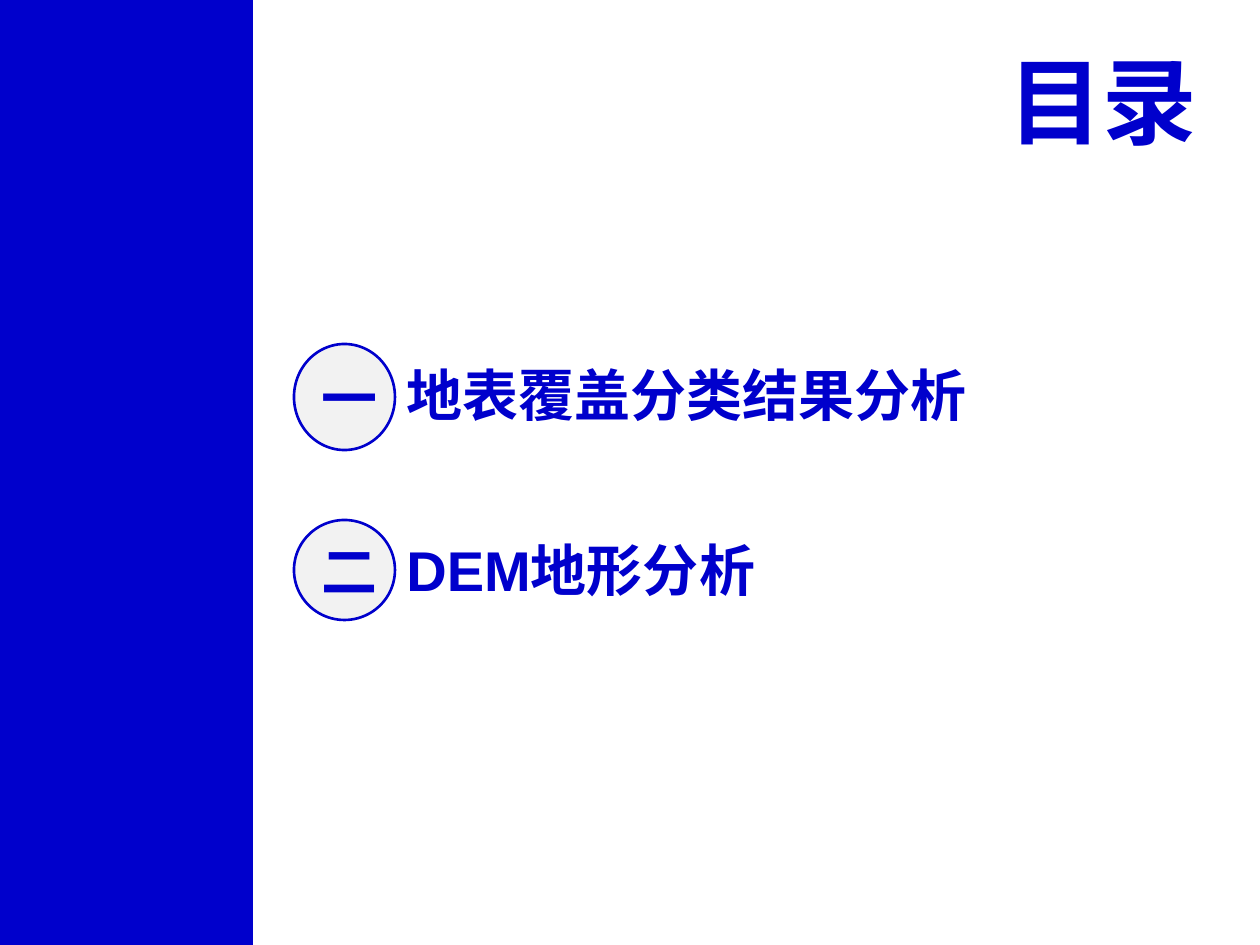
from dataclasses import dataclass

import lxml.etree
import pptx
import pptx.util
from pptx.dml.color import RGBColor
from pptx.enum.shapes import MSO_SHAPE
from pptx.enum.text import MSO_ANCHOR, MSO_AUTO_SIZE, PP_ALIGN
from pptx.oxml.ns import qn

PX = 914400 / 126  # EMU in one px
BLUE = RGBColor(0x00, 0x00, 0xCC)
GREY = RGBColor(0xF2, 0xF2, 0xF2)
LATIN = "Arial"
CJK = "Noto Sans CJK SC"


@dataclass
class Box:
    left: int
    top: int
    width: int
    height: int

    def emu(self) -> list[int]:
        return [round(v * PX) for v in (self.left, self.top, self.width, self.height)]


@dataclass
class Entry:
    number: str
    text: str
    circle: Box
    label: Box


ENTRIES = [
    Entry("一", "地表覆盖分类结果分析", Box(294, 344, 101, 106), Box(394, 354, 815, 81)),
    Entry("二", "DEM地形分析", Box(294, 520, 101, 100), Box(394, 529, 781, 81)),
]


def write(sp, text: str, size: int, align: PP_ALIGN, anchor: MSO_ANCHOR,
          font: str = LATIN, wrap: bool = True) -> None:
    """Put one bold blue paragraph into a shape."""
    tf = sp.text_frame
    tf.auto_size = MSO_AUTO_SIZE.NONE
    tf.word_wrap = wrap
    tf.vertical_anchor = anchor
    p = tf.paragraphs[0]
    p.text = text
    p.alignment = align
    p.font.name = font
    p.font.size = pptx.util.Pt(size)
    p.font.bold = True
    p.font.color.rgb = BLUE
    # East Asian typeface follows the Latin one
    latin = p._p.pPr.find(qn("a:defRPr")).find(qn("a:latin"))
    ea = lxml.etree.Element(qn("a:ea"), typeface=CJK)
    latin.addnext(ea)


def add_shape(s, kind: MSO_SHAPE, box: Box, fill: RGBColor):
    sp = s.shapes.add_shape(kind, *box.emu())
    sp.shadow.inherit = False
    sp.fill.solid()
    sp.fill.fore_color.rgb = fill
    return sp


def add_entry(s, entry: Entry) -> None:
    circle = add_shape(s, MSO_SHAPE.OVAL, entry.circle, GREY)
    circle.line.color.rgb = BLUE
    circle.line.width = pptx.util.Pt(1.5)
    write(circle, entry.number, 32, PP_ALIGN.CENTER, MSO_ANCHOR.MIDDLE, CJK)
    label = s.shapes.add_textbox(*entry.label.emu())
    write(label, entry.text, 32, PP_ALIGN.LEFT, MSO_ANCHOR.MIDDLE)


def main() -> None:
    prs = pptx.Presentation()
    prs.slide_width = pptx.util.Inches(10)
    prs.slide_height = pptx.util.Inches(7.5)
    s = prs.slides.add_slide(prs.slide_layouts[5])

    # Side band
    band = add_shape(s, MSO_SHAPE.RECTANGLE, Box(0, 0, 253, 945), BLUE)
    band.line.fill.background()

    # Title
    title = s.shapes.title
    title.left, title.top, title.width, title.height = Box(988, 37, 222, 127).emu()
    write(title, "目录", 54, PP_ALIGN.RIGHT, MSO_ANCHOR.TOP, wrap=False)

    # Contents
    for entry in ENTRIES:
        add_entry(s, entry)

    prs.save("out.pptx")


if __name__ == "__main__":
    main()
